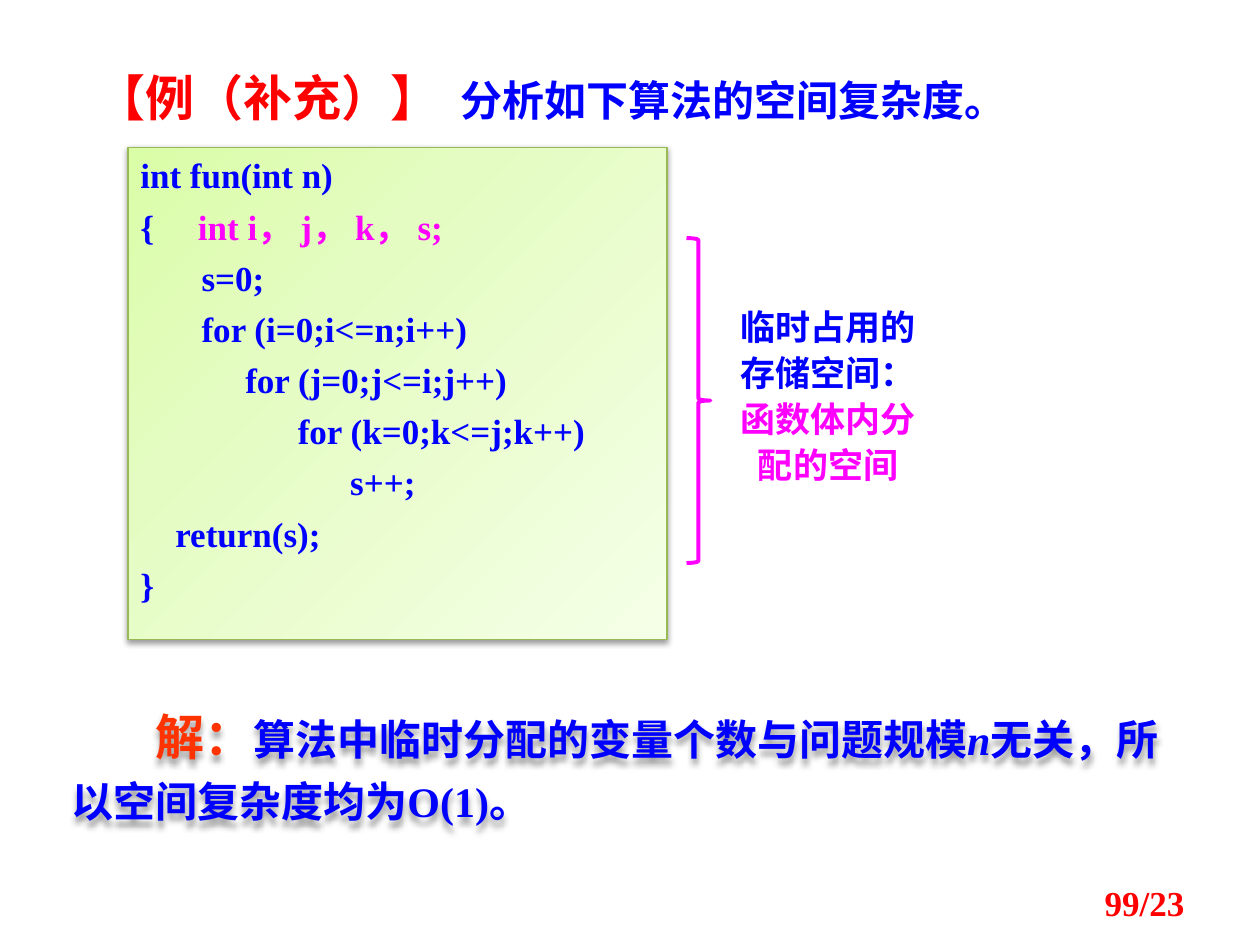
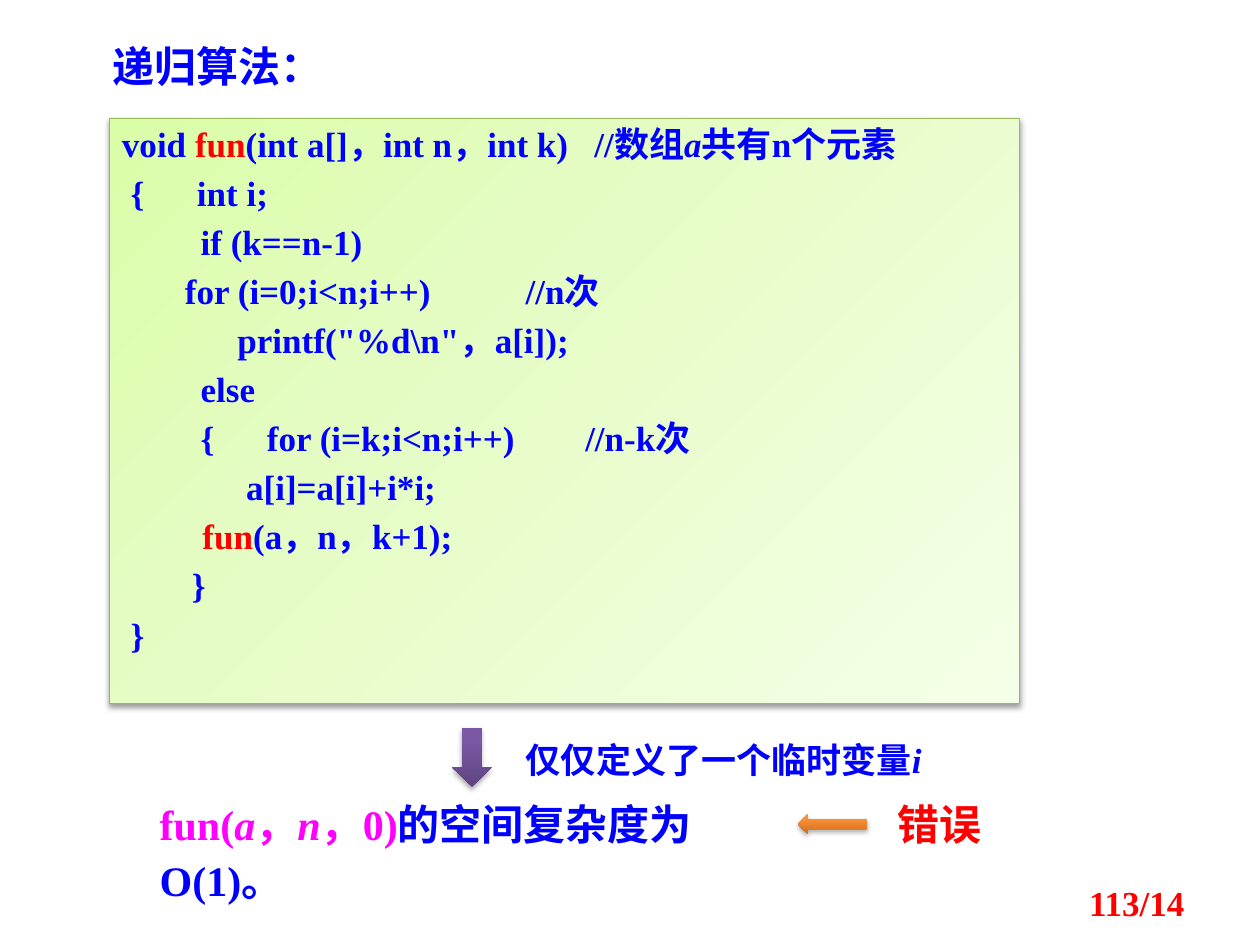
from typing import NamedTuple

from lxml.etree import SubElement
from pptx import Presentation
from pptx.dml.color import RGBColor
from pptx.enum.shapes import MSO_SHAPE
from pptx.enum.text import MSO_ANCHOR, MSO_AUTO_SIZE, PP_ALIGN
from pptx.oxml.ns import qn
from pptx.util import Cm, Pt

COLORS = {
    "blue": "0000FF",
    "red": "FF0000",
    "orange": "FF3300",
    "magenta": "FF00FF",
    "code_border": "98B955",
    "shadow": "000000",
}

# Gradient stops as (position in percent, colour), then the angle in degrees
GRADIENTS = {
    "code": ([(0, "DAFDA7"), (35, "E4FCC2"), (100, "F5FFE7")], 45),
    "orange_arrow": ([(0, "CC6E20"), (80, "FF9034"), (100, "FF9136")], 270),
    "purple_arrow": ([(0, "5F4480"), (80, "7B58A6"), (100, "7C57A8")], 270),
}


class Part(NamedTuple):
    """A stretch of text in one format; size None takes the box's size."""
    text: str
    color: str = "blue"
    italic: bool = False
    size: int = None


class Deck:
    """Holds the style and the current slide."""
    latin_font = "Times New Roman"
    chinese_font = "Noto Sans CJK SC"

    def __init__(self):
        self.presentation = Presentation()
        self.presentation.slide_width = Cm(25.4)
        self.presentation.slide_height = Cm(19.05)
        self.slide = None

    def new_slide(self, page):
        self.slide = self.presentation.slides.add_slide(
            self.presentation.slide_layouts[5])
        number = self.text((18.21, 17.65, 5.92, 1.02), [Part(page, "red")],
                           align=PP_ALIGN.RIGHT)
        number.text_frame.vertical_anchor = MSO_ANCHOR.MIDDLE

    def title(self, box, parts, tab=None):
        shape = self.slide.shapes.title
        shape.left, shape.top, shape.width, shape.height = map(Cm, box)
        self.fill_text(shape.text_frame, [parts], 24, [1.1])
        if tab:
            properties = shape.text_frame.paragraphs[0]._p.get_or_add_pPr()
            tab_list = SubElement(properties, qn("a:tabLst"))
            SubElement(tab_list, qn("a:tab"), pos=str(Cm(tab)), algn="l")

    def text(self, box, parts, size=20, spacing=1.1, align=PP_ALIGN.LEFT):
        shape = self.slide.shapes.add_textbox(*map(Cm, box))
        self.fill_text(shape.text_frame, [parts], size, [spacing], align)
        return shape

    def code(self, box, lines, spacings, top_inset=0.13):
        shape = self.shape(MSO_SHAPE.RECTANGLE, box, "code", "code_border", 0.75)
        self.shadow(shape, 38, 1.6)
        shape.text_frame.margin_top = Cm(top_inset)
        self.fill_text(shape.text_frame, lines, 20, spacings)

    def arrow(self, kind, box, gradient):
        self.shadow(self.shape(kind, box, gradient), 35, 1.8)

    def shape(self, kind, box, gradient=None, line=None, width=1):
        shape = self.slide.shapes.add_shape(kind, *map(Cm, box))
        shape.shadow.inherit = False
        if gradient:
            self.gradient(shape, *GRADIENTS[gradient])
        else:
            shape.fill.background()
        if line:
            shape.line.color.rgb = RGBColor.from_string(COLORS[line])
            shape.line.width = Pt(width)
        else:
            shape.line.fill.background()
        return shape

    def gradient(self, shape, stops, angle):
        shape.fill.gradient()
        fill = shape._element.spPr.find(qn("a:gradFill"))
        stop_list = fill.find(qn("a:gsLst"))
        for old_stop in list(stop_list):
            stop_list.remove(old_stop)
        for position, color in stops:
            stop = SubElement(stop_list, qn("a:gs"), pos=str(position * 1000))
            SubElement(stop, qn("a:srgbClr"), val=color)
        fill.find(qn("a:lin")).set("ang", str(angle * 60000))

    def shadow(self, shape, opacity, distance):
        shape.shadow.inherit = False
        effects = shape._element.spPr.find(qn("a:effectLst"))
        outer = SubElement(effects, qn("a:outerShdw"), blurRad=str(Pt(3.1)),
                           dist=str(Pt(distance)), dir="5400000", rotWithShape="0")
        color = SubElement(outer, qn("a:srgbClr"), val=COLORS["shadow"])
        SubElement(color, qn("a:alpha"), val=str(opacity * 1000))

    def fill_text(self, frame, lines, size, spacings, align=PP_ALIGN.LEFT):
        frame.word_wrap = True
        frame.auto_size = MSO_AUTO_SIZE.NONE
        frame.vertical_anchor = MSO_ANCHOR.TOP
        for index, (parts, spacing) in enumerate(zip(lines, spacings)):
            paragraph = frame.add_paragraph() if index else frame.paragraphs[0]
            paragraph.alignment = align
            paragraph.line_spacing = spacing
            if index:
                before = SubElement(paragraph._p.get_or_add_pPr(), qn("a:spcBef"))
                SubElement(before, qn("a:spcPct"), val="50000")
            for part in parts:
                self.add_run(paragraph, part, size)

    def add_run(self, paragraph, part, size):
        run = paragraph.add_run()
        run.text = part.text
        run.font.size = Pt(part.size or size)
        run.font.bold = True
        run.font.italic = part.italic
        run.font.color.rgb = RGBColor.from_string(COLORS[part.color])
        run.font.name = self.latin_font
        SubElement(run._r.get_or_add_rPr(), qn("a:ea"), typeface=self.chinese_font)


def add_iterative_example(deck):
    deck.new_slide("99/23")
    deck.title((1.7, 1.12, 19.53, 1.45),
               [Part("【例（补充）】", "red", size=28),
                Part("\t分析如下算法的空间复杂度。")], tab=7.32)

    # Answer
    answer = deck.text((1.19, 13.89, 23.01, 2.92),
                       [Part("解：", "orange", size=28),
                        Part("算法中临时分配的变量个数与问题规模"),
                        Part("n", italic=True),
                        Part("无关，所以空间复杂度均为O(1)。")],
                       size=24, spacing=1.2)
    answer.text_frame.paragraphs[0]._p.get_or_add_pPr().set("indent", str(Cm(1.69)))
    deck.shadow(answer, 38, 3)

    # Code
    lines = [
        [Part("int fun(int n)")],
        [Part("{     "), Part("int i， j， k， s;", "magenta")],
        [Part("       s=0;")],
        [Part("       for (i=0;i<=n;i++)")],
        [Part("            for (j=0;j<=i;j++)")],
        [Part("                  for (k=0;k<=j;k++)")],
        [Part("                        s++;")],
        [Part("    return(s);")],
        [Part("}")],
    ]
    deck.code((2.58, 2.97, 10.87, 9.93), lines, [1.0] + [0.8] * (len(lines) - 1))

    # Brace and its note
    deck.shape(MSO_SHAPE.RIGHT_BRACE, (13.84, 4.8, 0.48, 6.55),
               line="magenta", width=2.25)
    deck.text((14.55, 5.94, 4.29, 4.01),
              [Part("临时占用的存储空间："), Part("函数体内分配的空间", "magenta")],
              align=PP_ALIGN.CENTER)


def add_recursive_example(deck):
    deck.new_slide("113/14")
    deck.title((2.01, 0.58, 5.94, 1.4), [Part("递归算法：")])

    # Code
    lines = [
        [Part("void "), Part("fun", "red"),
         Part("(int a[]，int n，int k)   //数组"),
         Part("a", italic=True), Part("共有n个元素")],
        [Part(" {      int i;")],
        [Part("         if (k==n-1)")],
        [Part("\tfor (i=0;i<n;i++) 　　  //n次")],
        [Part("\t      printf(\"%d\\n\"，a[i]);")],
        [Part("         else")],
        [Part("         {      for (i=k;i<n;i++)　　//n-k次")],
        [Part("\t       a[i]=a[i]+i*i;")],
        [Part("\t  "), Part("fun", "red"), Part("(a，n，k+1);")],
        [Part("        }")],
        [Part(" }")],
    ]
    deck.code((2.21, 2.39, 18.34, 11.79), lines, [Pt(18)] * len(lines), top_inset=0.3)

    # Wrong conclusion
    deck.arrow(MSO_SHAPE.LEFT_ARROW, (16.08, 16.41, 1.4, 0.41), "orange_arrow")
    deck.text((17.65, 15.88, 2.59, 1.4), [Part("错误", "red")],
              size=24, align=PP_ALIGN.CENTER)
    deck.text((2.97, 15.88, 13.11, 1.4),
              [Part("fun(", "magenta"), Part("a", "magenta", True),
               Part("，", "magenta"), Part("n", "magenta", True),
               Part("，0)", "magenta"), Part("的空间复杂度为O(1)。")], size=24)

    # Reason for it
    deck.arrow(MSO_SHAPE.DOWN_ARROW, (9.12, 14.68, 0.79, 1.19), "purple_arrow")
    deck.text((9.93, 14.68, 9.32, 1.12),
              [Part("仅仅定义了一个临时变量"), Part("i", italic=True)],
              align=PP_ALIGN.CENTER)


def main():
    deck = Deck()
    add_iterative_example(deck)
    add_recursive_example(deck)
    deck.presentation.save("out.pptx")


if __name__ == "__main__":
    main()
